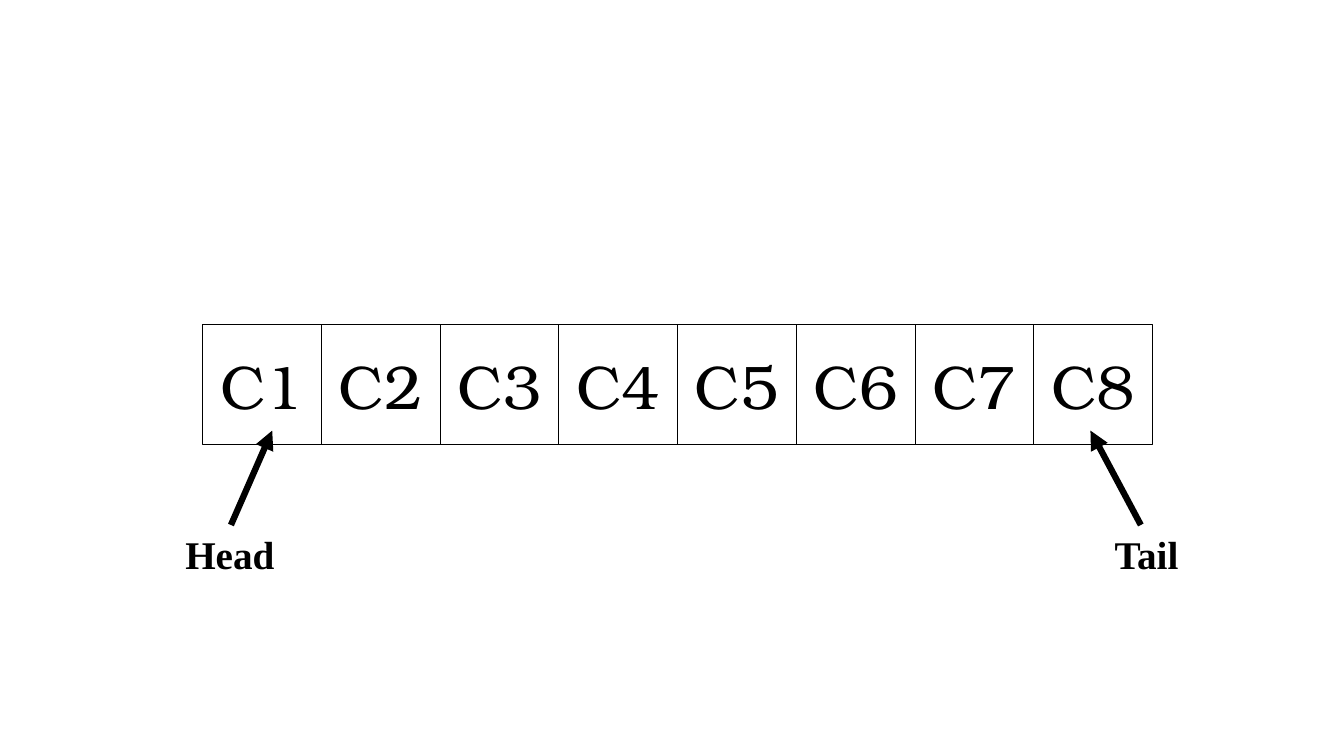
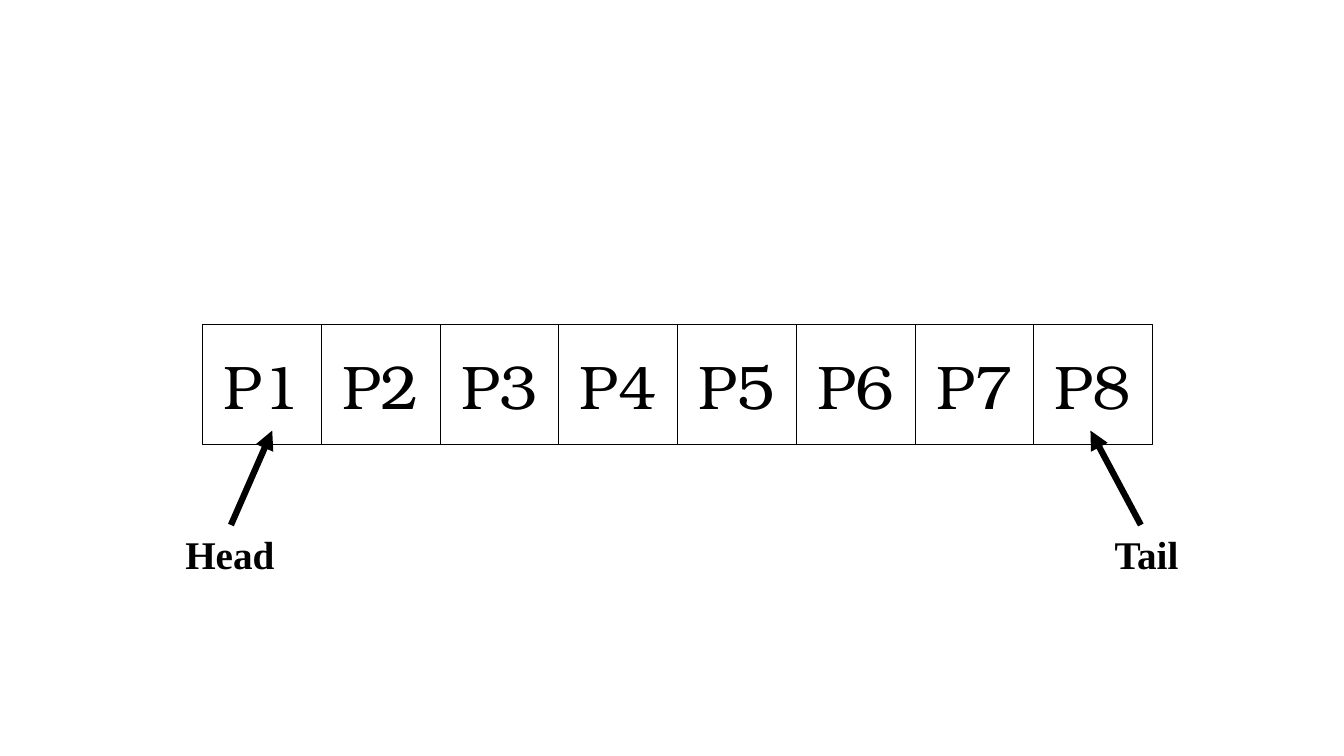
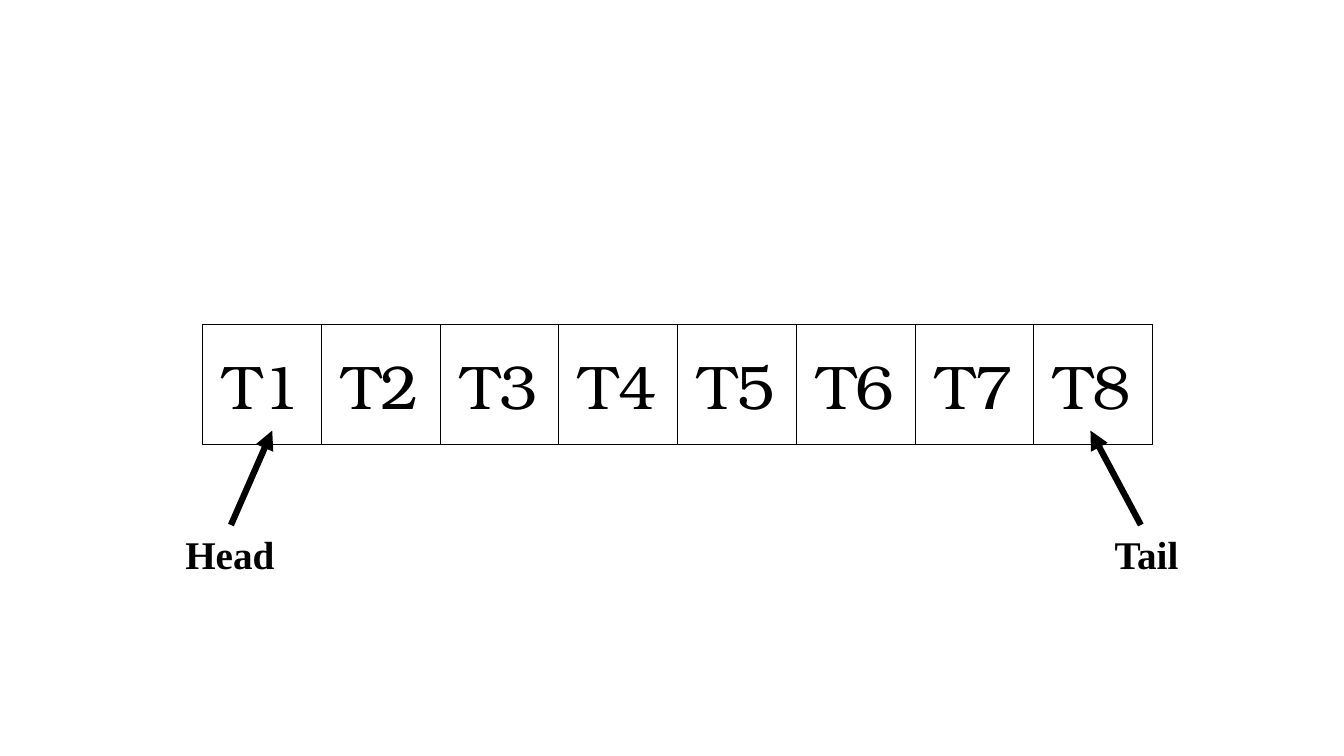
from pptx import Presentation
from pptx.dml.color import RGBColor
from pptx.enum.shapes import MSO_CONNECTOR, MSO_SHAPE
from pptx.enum.text import MSO_ANCHOR, MSO_AUTO_SIZE, PP_ALIGN
from pptx.oxml.ns import qn
from pptx.util import Cm, Pt

STRAIGHT = MSO_CONNECTOR.STRAIGHT
RECTANGLE = MSO_SHAPE.RECTANGLE
MIDDLE = MSO_ANCHOR.MIDDLE
FIT_TEXT = MSO_AUTO_SIZE.SHAPE_TO_FIT_TEXT
LEFT, CENTER = PP_ALIGN.LEFT, PP_ALIGN.CENTER

BLACK = "000000"
CELL_FONT = "TeX Gyre Bonum"
LABEL_FONT = "Times New Roman"
CELL_COUNT = 8
ROW_BOX = (5.11, 8.18, 23.93, 3.02)


def color(value):
    return RGBColor.from_string(value)


def add_line(slide, start, end, weight, arrow=False):
    line = slide.shapes.add_connector(STRAIGHT, *map(Cm, start + end))
    line.line.color.rgb = color(BLACK)
    line.line.width = Pt(weight)
    properties = line.element.spPr
    if arrow:
        outline = properties.find(qn("a:ln"))
        outline.append(outline.makeelement(qn("a:tailEnd"), {"type": "triangle"}))
    properties.append(properties.makeelement(qn("a:effectLst"), {}))


def add_text(slide, box, text, font, size, align, bold=False):
    frame = slide.shapes.add_textbox(*map(Cm, box)).text_frame
    frame.word_wrap = True
    paragraph = frame.paragraphs[0]
    paragraph.text = text
    paragraph.alignment = align
    paragraph.font.name = font
    paragraph.font.size = Pt(size)
    paragraph.font.bold = bold
    paragraph.font.color.rgb = color(BLACK)
    return frame


def add_cells(slide, box, prefix):
    left, top, width, height = box
    border = slide.shapes.add_shape(RECTANGLE, *map(Cm, box))
    border.shadow.inherit = False
    border.fill.background()
    border.line.color.rgb = color(BLACK)
    border.line.width = Pt(1)
    cell_width = width / CELL_COUNT
    for index in range(CELL_COUNT):
        cell_left = left + index * cell_width
        cell_right = cell_left + cell_width
        add_line(slide, (cell_right, top), (cell_right, top + height), 0.5)
        cell = add_text(slide, (cell_left, top, cell_width, height),
                        f"{prefix}{index + 1}", CELL_FONT, 44, CENTER)
        cell.vertical_anchor = MIDDLE


def add_pointer(slide, edge, row_bottom, text, label_offset, label_width,
                start_offset, tip_offset):
    label_top = row_bottom + 2.03
    add_line(slide, (edge + start_offset, label_top),
             (edge + tip_offset, row_bottom - 0.35), 4.5, arrow=True)
    label = add_text(slide, (edge + label_offset, label_top, label_width, 1.45),
                     text, LABEL_FONT, 28, LEFT, bold=True)
    label.word_wrap = False
    label.auto_size = FIT_TEXT


def add_queue_slide(deck, box, prefix):
    slide = deck.slides.add_slide(deck.slide_layouts[6])
    left, top, width, height = box
    add_cells(slide, box, prefix)
    add_pointer(slide, left + width, top + height, "Tail", -1.2, 2.13, -0.29, -1.56)
    add_pointer(slide, left, top + height, "Head", -0.69, 2.79, 0.71, 1.75)


deck = Presentation()
deck.slide_width = Cm(33.87)
deck.slide_height = Cm(19.05)
for prefix in "CPT":
    add_queue_slide(deck, ROW_BOX, prefix)
deck.save("out.pptx")
